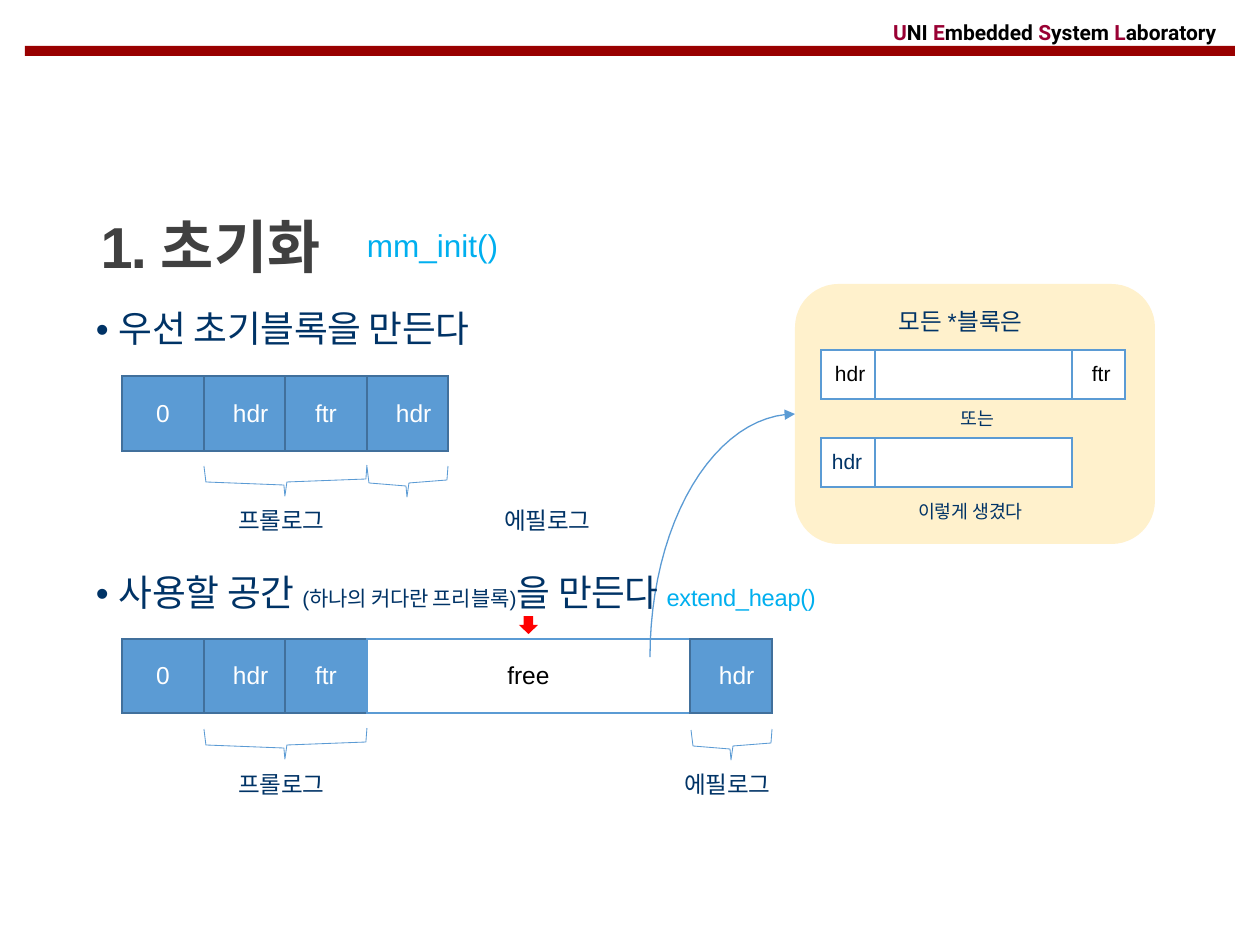
from math import cos, pi, sin

from lxml import etree
from pptx import Presentation
from pptx.dml.color import RGBColor
from pptx.enum.shapes import MSO_SHAPE
from pptx.enum.text import MSO_ANCHOR, PP_ALIGN
from pptx.oxml.ns import qn
from pptx.util import Emu, Pt

PX = 914400 / 126
LEFT, CENTER, RIGHT = PP_ALIGN.LEFT, PP_ALIGN.CENTER, PP_ALIGN.RIGHT
TOP, MIDDLE = MSO_ANCHOR.TOP, MSO_ANCHOR.MIDDLE
LATIN, KOREAN, HEADER = "Arial", "Noto Sans CJK KR", "Roboto"
C = {"bar": "990000", "initial": "990033", "black": "000000", "white": "FFFFFF",
     "navy": "003366", "title": "404040", "cyan": "00AFEF", "panel": "FFF1CC",
     "blue": "5B9BD4", "edge": "41709C", "red": "FF0000"}


def px(n):
    return Emu(round(n * PX))


def add_text(p, text, size=14, color="navy", font=LATIN, bold=False, spc=0):
    r = p.add_run()
    r.text = text
    r.font.size = Pt(size)
    r.font.bold = bold
    r.font.name = font
    r.font.color.rgb = RGBColor.from_string(C[color])
    rPr = r.font._element
    rPr.set("spc", str(round(spc * 100)))
    rPr.find(qn("a:latin")).addnext(rPr.makeelement(qn("a:ea"), {"typeface": font}))


prs = Presentation()
prs.slide_width, prs.slide_height = px(1260), px(945)
s = prs.slides.add_slide(prs.slide_layouts[6])

# Header bar, rounded panel, red pointer
for kind, x, y, w, h, color in [
    (MSO_SHAPE.RECTANGLE, 25, 46, 1210, 10, "bar"),
    (MSO_SHAPE.ROUNDED_RECTANGLE, 795, 284, 360, 260, "panel"),
    (MSO_SHAPE.DOWN_ARROW, 519, 616, 19, 18, "red"),
]:
    sp = s.shapes.add_shape(kind, px(x), px(y), px(w), px(h))
    sp.shadow.inherit = False
    sp.fill.solid()
    sp.fill.fore_color.rgb = RGBColor.from_string(C[color])
    sp.line.fill.background()

# Heap and block tables: text, left indent (None centres), fill, text colour
zero = ("0", None, "blue", "white")
hdr = ("hdr", 29, "blue", "white")
ftr = ("ftr", None, "blue", "white")
free = ("free", None, "white", "black")
body = ("", 0, "white", "black")
for x, y, h, widths, cells, size, edge in [
    (122, 376, 75, [82, 81, 82, 81], [zero, hdr, ftr, hdr], 14, "edge"),
    (122, 639, 74, [82, 81, 82, 323, 82], [zero, hdr, ftr, free, hdr], 14, "edge"),
    (821, 350, 49, [54, 197, 53],
     [("hdr", 14, "white", "black"), body, ("ftr", 20, "white", "black")], 12, "blue"),
    (821, 438, 49, [54, 197], [("hdr", 11, "white", "navy"), body], 12, "blue"),
]:
    t = s.shapes.add_table(1, len(cells), px(x), px(y), px(sum(widths)), px(h)).table
    t.first_row = t.horz_banding = False
    t.rows[0].height = px(h)
    for i, (text, indent, fill, color) in enumerate(cells):
        t.columns[i].width = px(widths[i])
        cell = t.cell(0, i)
        cell.margin_left = px(indent or 0)
        cell.margin_right = cell.margin_top = cell.margin_bottom = 0
        cell.vertical_anchor = MIDDLE
        p = cell.text_frame.paragraphs[0]
        p.alignment = CENTER if indent is None else LEFT
        add_text(p, text, size=size, color=color)
        tcPr = cell._tc.get_or_add_tcPr()
        line_color = "blue" if text == "free" else edge
        for side in ("lnL", "lnR", "lnT", "lnB"):
            ln = etree.SubElement(tcPr, qn("a:" + side), w=str(Pt(0.96)))
            solid = etree.SubElement(ln, qn("a:solidFill"))
            etree.SubElement(solid, qn("a:srgbClr"), val=C[line_color])
        cell.fill.solid()
        cell.fill.fore_color.rgb = RGBColor.from_string(C[fill])

# Braces under the blocks, then the curved arrow to the panel
lines = []
for x, y, w in [(204, 465, 163), (367, 466, 81), (204, 728, 163), (691, 729, 81)]:
    mid = x + w // 2
    lines.append([(x + w, y), (x + w - 1, y + 14), (mid + 2, y + 17), (mid, y + 31),
                  (mid - 1, y + 20), (x + 2, y + 17), (x, y + 1)])
steps = 24
angles = [pi / 2 * i / steps for i in range(steps + 1)]
curve = [(795 - 145 * cos(a), 657 - 243 * sin(a)) for a in angles]
for points in lines + [curve]:
    fb = s.shapes.build_freeform(px(points[0][0]), px(points[0][1]))
    fb.add_line_segments([(px(x), px(y)) for x, y in points[1:]], close=False)
    sp = fb.convert_to_shape()
    sp.shadow.inherit = False
    sp.fill.background()
    sp.line.color.rgb = RGBColor.from_string(C["blue"])
    sp.line.width = Pt(0.75 if points is curve else 0.48)
    if points is curve:
        etree.SubElement(sp.line._get_or_add_ln(), qn("a:tailEnd"), type="triangle")

# Text boxes: place, alignment, anchor, runs
ko = dict(size=13.5, font=KOREAN)
small = dict(size=10.5, font=KOREAN)
bullet = dict(size=21, spc=-0.1)
big = dict(size=21, font=KOREAN, spc=-0.2)
header = []
for first, rest in [("U", "NI "), ("E", "mbedded "), ("S", "ystem "), ("L", "aboratory")]:
    for text, color in [(first, "initial"), (rest, "black")]:
        header.append((text, dict(size=12, font=HEADER, bold=True, color=color)))
for x, y, w, h, align, anchor, runs in [
    (893, 15, 360, 35, LEFT, MIDDLE, header),
    (19, 189, 383, 112, CENTER, MIDDLE, [
        ("1. ", dict(size=33, color="title", bold=True, spc=-1.1)),
        ("초기화", dict(size=33, color="title", bold=True, font=KOREAN))]),
    (367, 226, 135, 39, LEFT, TOP, [("mm_init()", dict(size=18, color="cyan"))]),
    (96, 306, 420, 45, LEFT, TOP, [("• ", bullet), ("우선 초기블록을 만든다", big)]),
    (96, 570, 791, 46, LEFT, TOP, [
        ("• ", bullet), ("사용할 공간 ", big), ("(", dict(size=12, spc=-0.3)),
        ("하나의 커다란 프리블록", dict(size=12, font=KOREAN, spc=-0.1)),
        (")", dict(size=12, spc=-0.3)), ("을 만든다 ", big),
        ("extend_heap()", dict(size=13.5, color="cyan", spc=-0.1))]),
    (238, 506, 97, 29, LEFT, TOP, [("프롤로그", ko)]),
    (504, 506, 97, 29, LEFT, TOP, [("에필로그", ko)]),
    (238, 770, 97, 29, LEFT, TOP, [("프롤로그", ko)]),
    (684, 770, 97, 29, LEFT, TOP, [("에필로그", ko)]),
    (899, 307, 149, 29, LEFT, TOP, [
        ("모든 ", ko), ("*", dict(size=13.5, spc=0.5)), ("블록은", ko)]),
    (832, 407, 162, 23, RIGHT, TOP, [("또는", small)]),
    (918, 500, 120, 23, LEFT, TOP, [("이렇게 생겼다", small)]),
]:
    tf = s.shapes.add_textbox(px(x), px(y), px(w), px(h)).text_frame
    tf.word_wrap = True
    tf.vertical_anchor = anchor
    tf.margin_left = tf.margin_right = tf.margin_top = tf.margin_bottom = 0
    p = tf.paragraphs[0]
    p.alignment = align
    for text, style in runs:
        add_text(p, text, **style)

prs.save("out.pptx")
